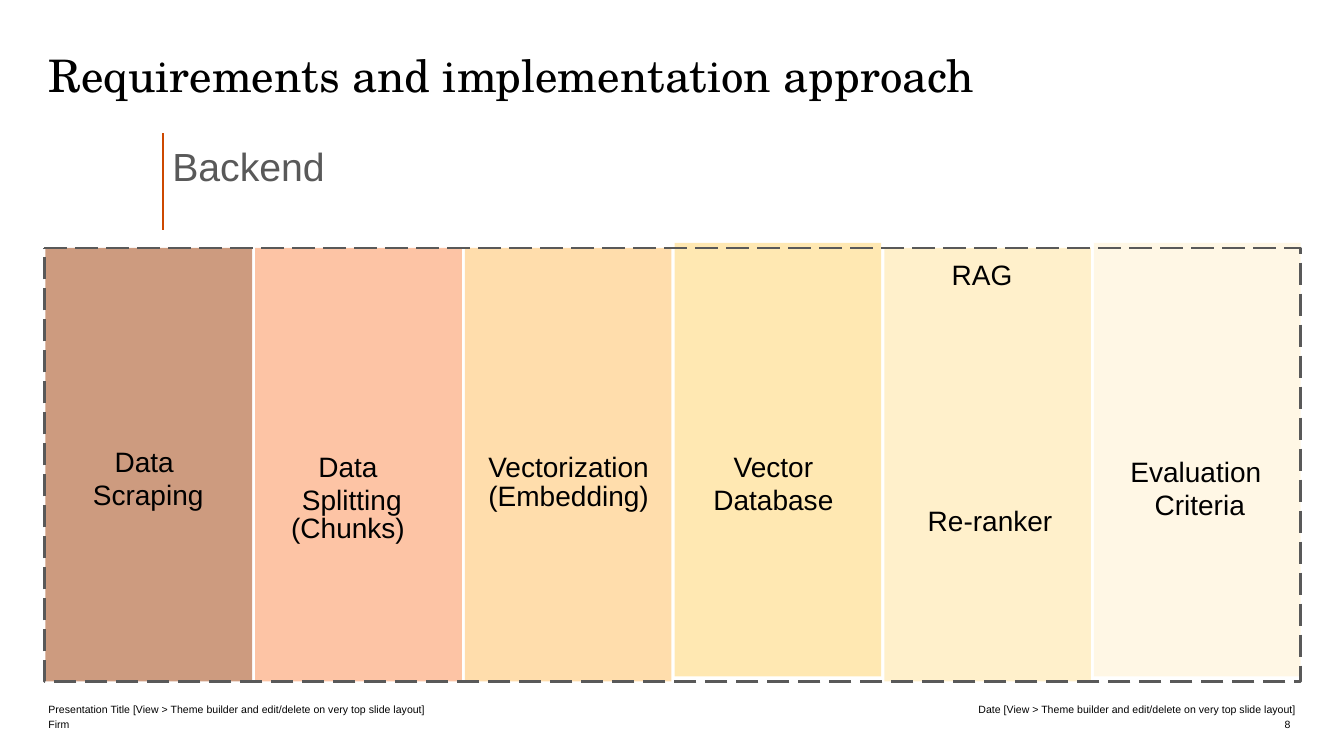
from dataclasses import dataclass

from lxml import etree
from pptx import Presentation
from pptx.dml.color import RGBColor
from pptx.enum.dml import MSO_LINE
from pptx.enum.shapes import MSO_CONNECTOR, MSO_SHAPE
from pptx.enum.text import MSO_ANCHOR, MSO_AUTO_SIZE, PP_ALIGN
from pptx.oxml.ns import qn
from pptx.util import Inches, Pt

LEFT, CENTER, RIGHT = PP_ALIGN.LEFT, PP_ALIGN.CENTER, PP_ALIGN.RIGHT
TOP, BOTTOM = MSO_ANCHOR.TOP, MSO_ANCHOR.BOTTOM
NO_AUTOFIT = MSO_AUTO_SIZE.NONE
PANEL_SHAPE = MSO_SHAPE.ROUNDED_RECTANGLE
STRAIGHT = MSO_CONNECTOR.STRAIGHT
LONG_DASH = MSO_LINE.LONG_DASH
TITLE_ONLY = 5


@dataclass(frozen=True)
class Theme:
    heading_font: str = "TeX Gyre Schola"
    body_font: str = "Arial"
    black: str = "000000"
    gray: str = "595959"
    accent: str = "CD4800"
    panels: tuple = ("9C3801", "FD8A4D", "FFBC5A", "FFD366", "FFE299", "FFF0CC")
    panel_opacity: int = 50
    title_size: float = 32
    subtitle_size: float = 28
    label_size: float = 20
    footer_size: float = 7.5


def write_text(frame, text, *, font, size, color, align=LEFT, anchor=TOP,
               line_spacing=None, space_after=None):
    """Fill a frame, one paragraph for each line of text."""
    frame.margin_left = frame.margin_right = 0
    frame.margin_top = frame.margin_bottom = 0
    frame.word_wrap = True
    frame.auto_size = NO_AUTOFIT
    frame.vertical_anchor = anchor
    frame.text = text
    for paragraph in frame.paragraphs:
        paragraph.alignment = align
        paragraph.line_spacing = line_spacing
        if space_after is not None:
            paragraph.space_after = Pt(space_after)
        for run in paragraph.runs:
            run.font.name = font
            run.font.size = Pt(size)
            run.font.color.rgb = RGBColor.from_string(color)


class SlideBuilder:
    def __init__(self, presentation, theme):
        self.theme = theme
        self.slide = presentation.slides.add_slide(
            presentation.slide_layouts[TITLE_ONLY])

    def title(self, text, left, top, width, height):
        shape = self.slide.shapes.title
        shape.left, shape.top = Inches(left), Inches(top)
        shape.width, shape.height = Inches(width), Inches(height)
        write_text(shape.text_frame, text, font=self.theme.heading_font,
                   size=self.theme.title_size, color=self.theme.black)

    def text(self, text, left, top, width, height, **text_format):
        box = self.slide.shapes.add_textbox(
            Inches(left), Inches(top), Inches(width), Inches(height))
        write_text(box.text_frame, text, font=self.theme.body_font, **text_format)

    def footer(self, text, left, top, width, align=LEFT):
        self.text(text, left, top, width, 0.15, size=self.theme.footer_size,
                  color=self.theme.black, align=align, anchor=BOTTOM)

    def label(self, text, left, top, width=2.5):
        self.text(text, left, top, width, 0.52, size=self.theme.label_size,
                  color=self.theme.black, align=CENTER, line_spacing=0.85,
                  space_after=3)

    def square_box(self, left, top, width, height):
        shape = self.slide.shapes.add_shape(
            PANEL_SHAPE, Inches(left), Inches(top), Inches(width), Inches(height))
        shape.adjustments[0] = 0
        shape.shadow.inherit = False
        return shape

    def panel(self, color, left, top, width, height):
        shape = self.square_box(left, top, width, height)
        shape.line.fill.background()
        shape.fill.solid()
        shape.fill.fore_color.rgb = RGBColor.from_string(color)
        color_element = next(shape.element.spPr.iter(qn("a:srgbClr")))
        alpha = etree.SubElement(color_element, qn("a:alpha"))
        alpha.set("val", str(self.theme.panel_opacity * 1000))

    def dashed_frame(self, left, top, width, height):
        shape = self.square_box(left, top, width, height)
        shape.fill.background()
        shape.line.color.rgb = RGBColor.from_string(self.theme.gray)
        shape.line.width = Pt(2)
        shape.line.dash_style = LONG_DASH

    def vertical_rule(self, x, top, bottom):
        rule = self.slide.shapes.add_connector(
            STRAIGHT, Inches(x), Inches(top), Inches(x), Inches(bottom))
        rule.line.color.rgb = RGBColor.from_string(self.theme.accent)
        rule.line.width = Pt(1.5)
        etree.SubElement(rule.element.spPr, qn("a:effectLst"))


def main():
    presentation = Presentation()
    presentation.slide_width = Inches(13.33)
    presentation.slide_height = Inches(7.5)
    theme = Theme()
    builder = SlideBuilder(presentation, theme)

    builder.title("Requirements and implementation approach", 0.48, 0.47, 12.36, 0.55)

    builder.footer("Firm", 0.48, 7.1, 5.99)
    builder.footer("Presentation Title [View > Theme builder and edit/delete "
                   "on very top slide layout]", 0.48, 6.95, 5.99)
    builder.footer("Date [View > Theme builder and edit/delete "
                   "on very top slide layout]", 8.99, 6.95, 3.86, RIGHT)
    builder.footer("8", 8.94, 7.1, 3.86, RIGHT)

    panel_tops = (2.46, 2.46, 2.46, 2.41, 2.46, 2.41)
    for index, (color, top) in enumerate(zip(theme.panels, panel_tops)):
        builder.panel(color, 0.45 + 2.08 * index, top, 2.05, 4.3)

    builder.text("Backend", 1.71, 1.48, 2.5, 0.52, size=theme.subtitle_size,
                 color=theme.gray, line_spacing=0.85, space_after=3)
    builder.vertical_rule(1.62, 1.32, 2.28)
    builder.dashed_frame(0.44, 2.46, 12.46, 4.3)

    builder.label("Data \nScraping", 0.22, 4.46)
    builder.label("Data \nSplitting (Chunks) ", 2.45, 4.51, width=2.08)
    builder.label("Vectorization (Embedding)", 4.39, 4.51)
    builder.label("Vector \nDatabase ", 6.46, 4.51)
    builder.label("RAG", 8.49, 2.61)
    builder.label("Re-ranker", 8.57, 5.05)
    builder.label("Evaluation \nCriteria", 10.65, 4.56)

    presentation.save("out.pptx")


if __name__ == "__main__":
    main()
